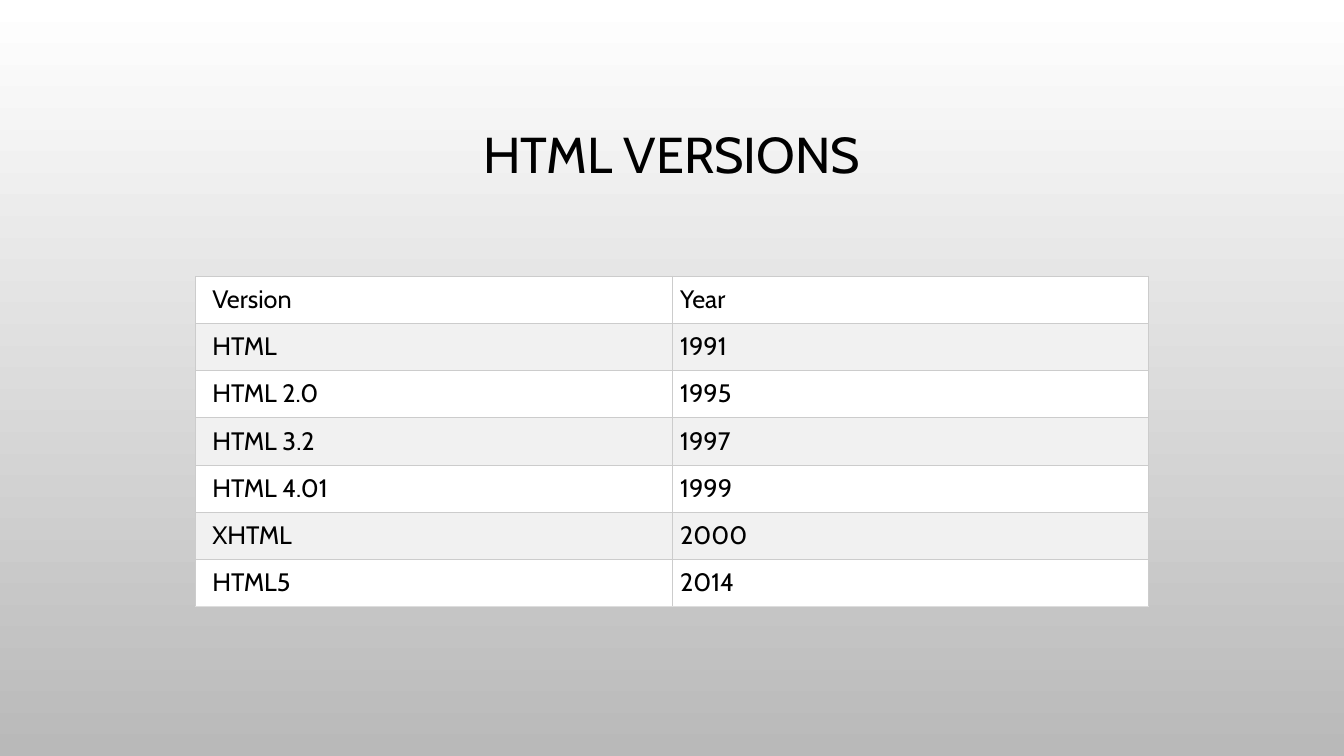
import dataclasses

import lxml.etree
import pptx
import pptx.dml.color
import pptx.enum.text
import pptx.oxml.ns
import pptx.util

Cm = pptx.util.Cm
RGBColor = pptx.dml.color.RGBColor
Align = pptx.enum.text.PP_ALIGN

BLACK = RGBColor(0x00, 0x00, 0x00)
WHITE = RGBColor(0xFF, 0xFF, 0xFF)
BAND = RGBColor(0xF1, 0xF1, 0xF1)
BACKDROP_END = RGBColor(0xB9, 0xB9, 0xB9)
BORDER = RGBColor(0xCC, 0xCC, 0xCC)
BOTTOM_BORDER = RGBColor(0xDD, 0xDD, 0xDD)

FONT = "Cabin"
COLUMN_WIDTH = Cm(12.01)
ROW_HEIGHT = Cm(1.19)
CELL_MARGIN = Cm(0.2)
FIRST_MARGIN = Cm(0.42)


@dataclasses.dataclass(frozen=True)
class Release:
    version: str
    year: str


RELEASES = [
    Release("Version", "Year"),
    Release("HTML", "1991"),
    Release("HTML 2.0", "1995"),
    Release("HTML 3.2", "1997"),
    Release("HTML 4.01", "1999"),
    Release("XHTML", "2000"),
    Release("HTML5", "2014"),
]


def write_text(frame, text: str, *, size: float = 18, color: RGBColor = BLACK,
               align: Align = Align.LEFT, spacing: float = 1.0) -> None:
    paragraph = frame.paragraphs[0]
    paragraph.alignment = align
    paragraph.line_spacing = spacing
    run = paragraph.add_run()
    run.text = text
    run.font.name = FONT
    run.font.size = pptx.util.Pt(size)
    run.font.color.rgb = color


def draw_borders(cell, bottom: RGBColor) -> None:
    qn = pptx.oxml.ns.qn
    properties = cell._tc.get_or_add_tcPr()
    sides = {"a:lnL": BORDER, "a:lnR": BORDER, "a:lnT": BORDER, "a:lnB": bottom}
    for position, (side, color) in enumerate(sides.items()):
        line = lxml.etree.Element(qn(side), w=str(pptx.util.Pt(0.75)))
        fill = lxml.etree.SubElement(line, qn("a:solidFill"))
        lxml.etree.SubElement(fill, qn("a:srgbClr"), val=str(color))
        properties.insert(position, line)


def draw_cell(cell, text: str, left: int, fill: RGBColor, bottom: RGBColor) -> None:
    cell.margin_left = left
    cell.margin_right = cell.margin_top = cell.margin_bottom = CELL_MARGIN
    cell.fill.solid()
    cell.fill.fore_color.rgb = fill
    write_text(cell.text_frame, text)
    draw_borders(cell, bottom)


def draw_release(table, row: int, release: Release) -> None:
    table.rows[row].height = ROW_HEIGHT
    fill = BAND if row % 2 else WHITE
    bottom = BOTTOM_BORDER if row == len(RELEASES) - 1 else BORDER
    draw_cell(table.cell(row, 0), release.version, FIRST_MARGIN, fill, bottom)
    draw_cell(table.cell(row, 1), release.year, CELL_MARGIN, fill, bottom)


def draw_backdrop(slide) -> None:
    fill = slide.background.fill
    fill.gradient()
    fill.gradient_angle = 270
    for stop, position, color in zip(fill.gradient_stops, (0, 1), (WHITE, BACKDROP_END)):
        stop.position = position
        stop.color.rgb = color


def draw_title(slide, text: str) -> None:
    title = slide.shapes.add_textbox(Cm(2.54), Cm(1.73), Cm(28.78), Cm(4.45))
    title.text_frame.word_wrap = True
    title.text_frame.vertical_anchor = pptx.enum.text.MSO_ANCHOR.MIDDLE
    write_text(title.text_frame, text, size=36, align=Align.CENTER, spacing=0.9)


def draw_versions(slide, releases: list[Release]) -> None:
    table = slide.shapes.add_table(
        len(releases), 2, Cm(4.93), Cm(6.96), 2 * COLUMN_WIDTH, len(releases) * ROW_HEIGHT
    ).table
    table.first_row = False
    table.horz_banding = False
    for column in table.columns:
        column.width = COLUMN_WIDTH
    for row, release in enumerate(releases):
        draw_release(table, row, release)


deck = pptx.Presentation()
deck.slide_width = Cm(33.87)
deck.slide_height = Cm(19.05)
versions_slide = deck.slides.add_slide(deck.slide_layouts[6])
draw_backdrop(versions_slide)
draw_title(versions_slide, "HTML VERSIONS")
draw_versions(versions_slide, RELEASES)
deck.save("out.pptx")
